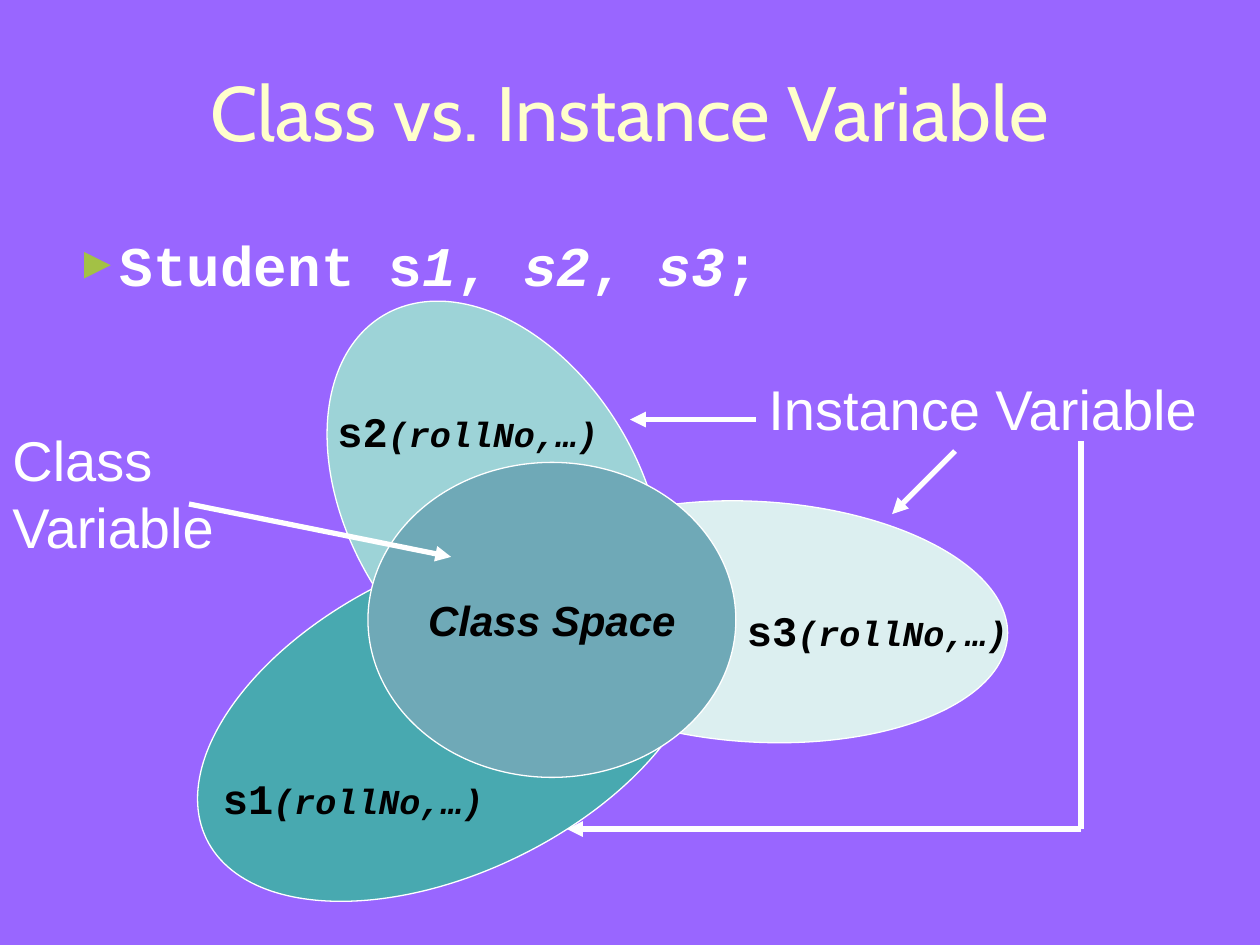
from lxml import etree
from pptx import Presentation
from pptx.dml.color import RGBColor
from pptx.enum.shapes import MSO_CONNECTOR, MSO_SHAPE
from pptx.enum.text import MSO_ANCHOR, MSO_AUTO_SIZE, PP_ALIGN
from pptx.oxml.ns import qn
from pptx.util import Inches, Pt

STRAIGHT = MSO_CONNECTOR.STRAIGHT
ELLIPSE = MSO_SHAPE.OVAL
MIDDLE = MSO_ANCHOR.MIDDLE
FIT_SHAPE = MSO_AUTO_SIZE.SHAPE_TO_FIT_TEXT
NO_FIT = MSO_AUTO_SIZE.NONE
CENTER = PP_ALIGN.CENTER
TITLE_ONLY = 5

PURPLE, CREAM, WHITE, BLACK = "9966FF", "FFFFCC", "FFFFFF", "000000"
GREEN = "A3C145"
CODE_FONT, LABEL_FONT, TITLE_FONT = "Courier New", "Arial", "Cabin"


def color(value):
    return RGBColor.from_string(value)


def inches(box):
    return [Inches(length) for length in box]


def set_font(font, name, size, fill, bold=False, italic=False):
    font.name, font.size = name, Pt(size)
    font.color.rgb = color(fill)
    font.bold, font.italic = bold, italic


def add_text(shapes, box, wrap=True):
    frame = shapes.add_textbox(*inches(box)).text_frame
    frame.word_wrap = wrap
    frame.auto_size = FIT_SHAPE
    return frame.paragraphs[0]


def add_label(page, box, text, wrap=True):
    para = add_text(page.shapes, box, wrap)
    para.text = text
    set_font(para.font, LABEL_FONT, 32, WHITE)


def add_ellipse(shapes, box, fill, rotation=0):
    ellipse = shapes.add_shape(ELLIPSE, *inches(box))
    ellipse.rotation = rotation
    ellipse.shadow.inherit = False
    ellipse.fill.solid()
    ellipse.fill.fore_color.rgb = color(fill)
    ellipse.line.color.rgb = color(WHITE)
    ellipse.line.width = Pt(0.75)
    return ellipse


def add_line(shapes, start, end, arrow=True):
    line = shapes.add_connector(STRAIGHT, *inches(start + end))
    line.line.color.rgb = color(WHITE)
    line.line.width = Pt(3)
    properties = line.line._get_or_add_ln()
    if arrow:
        etree.SubElement(properties, qn("a:tailEnd"), type="triangle")
    etree.SubElement(properties.getparent(), qn("a:effectLst"))


def add_title(page, box):
    title = page.shapes.title
    title.left, title.top, title.width, title.height = inches(box)
    frame = title.text_frame
    frame.text = "Class vs. Instance Variable"
    frame.vertical_anchor = MIDDLE
    frame.auto_size = NO_FIT
    para = frame.paragraphs[0]
    para.alignment = CENTER
    set_font(para.font, TITLE_FONT, 44, CREAM)


def add_declaration(page, box):
    para = add_text(page.shapes, box)
    para.line_spacing = 0.8
    para.space_before = Pt(20)
    set_font(para.font, CODE_FONT, 32, WHITE, bold=True)
    for index, text in enumerate(["Student s", "1", ", ", "s2", ", ", "s3", ";"]):
        span = para.add_run()
        span.text = text
        span.font.italic = index % 2 == 1
    properties = para._p.get_or_add_pPr()
    properties.set("marL", str(Inches(0.3)))
    properties.set("indent", str(Inches(-0.3)))
    bullet_color = etree.Element(qn("a:buClr"))
    etree.SubElement(bullet_color, qn("a:srgbClr"), val=GREEN)
    bullet = [
        bullet_color,
        etree.Element(qn("a:buSzPct"), val="80000"),
        etree.Element(qn("a:buFont"), typeface=LABEL_FONT),
        etree.Element(qn("a:buChar"), char="►"),
    ]
    position = properties.index(properties.find(qn("a:spcBef"))) + 1
    properties[position:position] = bullet


def add_object_label(shapes, name, box):
    para = add_text(shapes, box)
    para.space_before = Pt(12.5)
    set_font(para.font, CODE_FONT, 24, BLACK, bold=True)
    para.add_run().text = name
    fields = para.add_run()
    fields.text = "(rollNo,…)"
    fields.font.size = Pt(20)
    fields.font.italic = True


def add_class_diagram(page, left, top):
    shapes = page.shapes.add_group_shape().shapes
    objects = [
        ("s3", (2.58, 1.14, 4, 1.91), "DCEFF0", 3.3, (4.41, 1.91, 3.08, 0.5)),
        ("s1", (0, 1.66, 4.33, 2.42), "48A9B0", 334, (0.25, 3.24, 2.58, 0.5)),
        ("s2", (0.77, 0, 3.48, 2.32), "9DD3D7", 59.4, (1.16, 0.33, 3.08, 0.5)),
    ]

    def place(box):
        return (left + box[0], top + box[1], *box[2:])

    for _, box, fill, rotation, _ in objects:
        add_ellipse(shapes, place(box), fill, rotation)
    center = add_ellipse(shapes, place((1.5, 0.83, 2.92, 2.5)), "6FA9B7")
    frame = center.text_frame
    frame.word_wrap = False
    frame.vertical_anchor = MIDDLE
    para = frame.paragraphs[0]
    para.text = "Class Space"
    para.alignment = CENTER
    set_font(para.font, LABEL_FONT, 24, BLACK, bold=True, italic=True)
    for name, _, _, _, label_box in objects:
        add_object_label(shapes, name, place(label_box))


def add_callouts(page, instance_box, class_box):
    elbow = page.shapes.add_group_shape().shapes
    corner = (8.58, 6.58)
    add_line(elbow, (8.58, 3.5), corner, arrow=False)
    add_line(elbow, corner, (4.5, 6.58))
    add_label(page, instance_box, "Instance Variable", wrap=False)
    add_line(page.shapes, (7.58, 3.58), (7.08, 4.08))
    add_line(page.shapes, (6, 3.33), (5, 3.33))
    add_label(page, class_box, "Class Variable")
    add_line(page.shapes, (1.5, 4), (3.58, 4.42))


def main():
    deck = Presentation()
    deck.slide_width, deck.slide_height = Inches(10), Inches(7.5)
    page = deck.slides.add_slide(deck.slide_layouts[TITLE_ONLY])
    page.background.fill.solid()
    page.background.fill.fore_color.rgb = color(PURPLE)
    add_title(page, (0.33, 0.25, 9.34, 1.25))
    add_declaration(page, (0.5, 1.88, 9, 0.5))
    add_class_diagram(page, 1.42, 2.84)
    add_callouts(page, (6, 2.92, 3.64, 0.64), (0, 3.33, 2.33, 1.17))
    deck.save("out.pptx")


if __name__ == "__main__":
    main()
